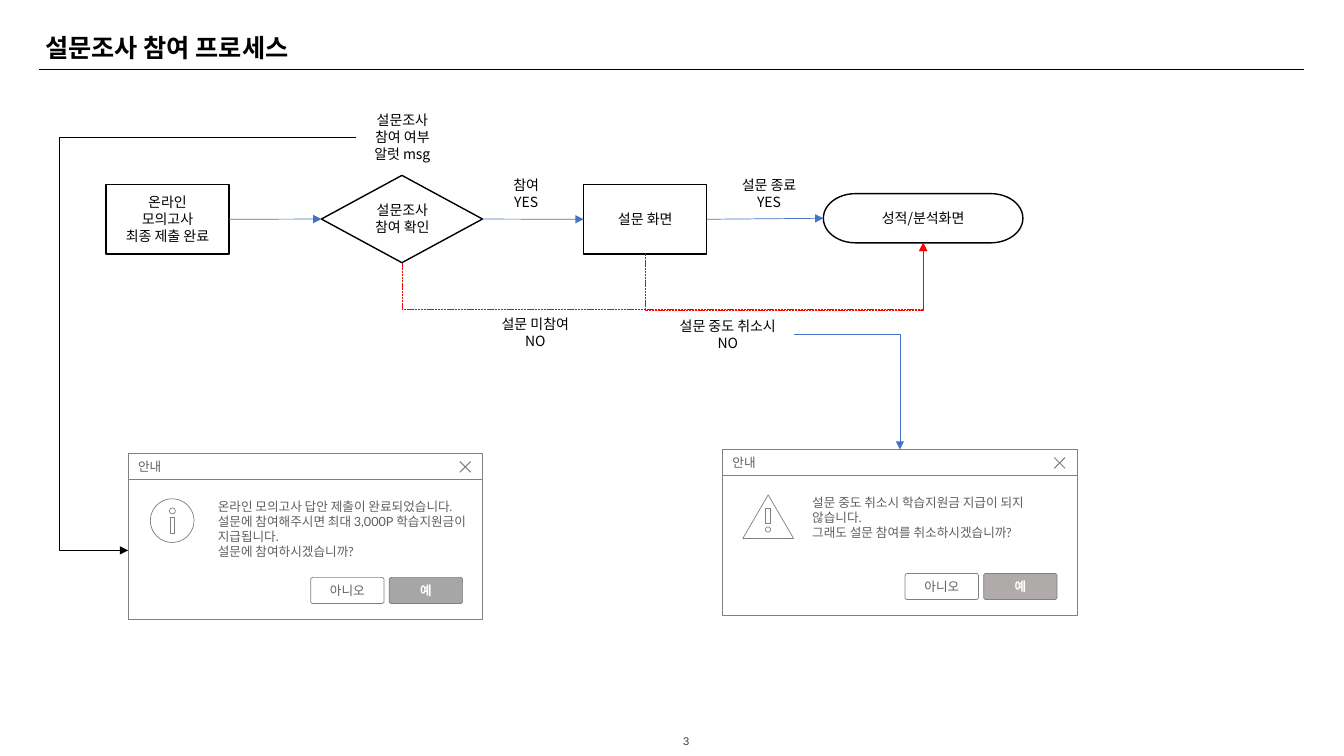
"""Build the survey participation process slide."""
from lxml.etree import SubElement
from pptx import Presentation
from pptx.dml.color import RGBColor
from pptx.enum.dml import MSO_LINE as DASH
from pptx.enum.shapes import MSO_CONNECTOR as LINK, MSO_SHAPE as SHAPE
from pptx.enum.text import MSO_ANCHOR as ANCHOR, PP_ALIGN as ALIGN
from pptx.oxml.ns import qn
from pptx.util import Cm, Pt

COLORS = {"black": "000000", "blue": "4472C4", "red": "FF0000", "white": "FFFFFF",
          "edge": "808080", "ink": "5F5F5F", "gray": "A6A6A6", "warm": "AFABAB",
          "page": "404040"}
KOREAN = "Noto Sans CJK KR"

TITLE = ("설문조사 참여 프로세스", (0.89, 0.76, 29.21, 1.12))
PAGE = ("3", (16.89, 18.36, 0.81, 0.61))
STEPS = {
    "submitted": (SHAPE.FLOWCHART_PROCESS, (2.67, 4.65, 3.1, 1.75),
                  "온라인\n모의고사\n최종 제출 완료"),
    "confirm": (SHAPE.FLOWCHART_DECISION, (8.1, 4.42, 4.06, 2.2), ""),
    "survey": (SHAPE.FLOWCHART_PROCESS, (14.71, 4.65, 3.1, 1.75), "설문 화면"),
    "result": (SHAPE.FLOWCHART_TERMINATOR, (20.75, 4.88, 5.03, 1.24), "성적/분석화면"),
}
LABELS = [
    ("설문조사\n참여 확인", (8.97, 4.95, 2.34, 1.12)),
    ("설문조사\n참여 여부 알럿 msg", (8.97, 2.69, 2.34, 1.55)),
    ("참여\nYES", (12.09, 4.32, 2.34, 1.12)),
    ("설문 종료 YES", (18.21, 4.32, 2.34, 1.12)),
    ("설문 중도 취소시\nNO", (16.69, 7.87, 3.3, 1.12)),
    ("설문 미참여\nNO", (11.84, 7.82, 3.3, 1.12)),
]
SKIPS = [("confirm", 7.8), ("survey", 7.82)]
DIALOGS = [
    {"at": (3.23, 11.43), "message_width": 6.81, "yes": "gray",
     "message": "온라인 모의고사 답안 제출이 완료되었습니다.\n"
                "설문에 참여해주시면 최대 3,000P 학습지원금이 지급됩니다.\n"
                "설문에 참여하시겠습니까?",
     "icon": [(SHAPE.OVAL, (0.56, 1.14, 1.1, 1.1)),
              (SHAPE.OVAL, (1.04, 1.37, 0.15, 0.15)),
              (SHAPE.RECTANGLE, (1.06, 1.6, 0.11, 0.41))]},
    {"at": (18.21, 11.33), "message_width": 6.38, "yes": "warm",
     "message": "설문 중도 취소시 학습지원금 지급이 되지 않습니다.\n"
                "그래도 설문 참여를 취소하시겠습니까?",
     "icon": [(SHAPE.ISOSCELES_TRIANGLE, (0.51, 1.14, 1.28, 1.1)),
              (SHAPE.RECTANGLE, (1.08, 1.47, 0.13, 0.38)),
              (SHAPE.OVAL, (1.08, 1.95, 0.13, 0.13))]},
]
DIALOG_WIDTH, HEADER_HEIGHT, BODY_HEIGHT = 8.94, 0.66, 3.53
FLOW_FONT = {"size": Pt(10), "name": KOREAN}
DIALOG_FONT = {"size": Pt(9), "name": "Lato"}
DEFAULT_INSETS = (0.25, 0.13, 0.25, 0.13)

deck = Presentation()
deck.slide_width, deck.slide_height = Cm(33.87), Cm(19.05)
slide = deck.slides.add_slide(deck.slide_layouts[6])


def rgb(color):
    return RGBColor.from_string(COLORS[color])


def write(box, text, font, color="black", align=ALIGN.CENTER, anchor=ANCHOR.MIDDLE,
          insets=DEFAULT_INSETS, wrap=True, spacing=None):
    frame = box.text_frame
    left, top, right, bottom = map(Cm, insets)
    layout = {"word_wrap": wrap, "vertical_anchor": anchor, "margin_left": left,
              "margin_top": top, "margin_right": right, "margin_bottom": bottom}
    for key, value in layout.items():
        setattr(frame, key, value)
    for index, line in enumerate(text.split("\n")):
        paragraph = frame.add_paragraph() if index else frame.paragraphs[0]
        paragraph.alignment, paragraph.line_spacing = align, spacing
        run = paragraph.add_run()
        run.text = line
        for key, value in font.items():
            setattr(run.font, key, value)
        run.font.color.rgb = rgb(color)
        SubElement(run.font._element, qn("a:ea"), typeface=KOREAN)


def add_label(text, place, font, **options):
    write(slide.shapes.add_textbox(*map(Cm, place)), text, font, **options)


def add_outline(kind, place, edge="edge", width=0.5, fill=None):
    outline = slide.shapes.add_shape(kind, *map(Cm, place))
    outline.shadow.inherit = False
    if fill:
        outline.fill.solid()
        outline.fill.fore_color.rgb = rgb(fill)
    else:
        outline.fill.background()
    outline.line.color.rgb, outline.line.width = rgb(edge), Pt(width)
    return outline


def add_link(start, end, color, kind=LINK.STRAIGHT, arrow=True, width=0.5):
    link = slide.shapes.add_connector(kind, *map(Cm, start + end))
    link.line.color.rgb, link.line.width = rgb(color), Pt(width)
    if arrow:
        SubElement(link.line._get_or_add_ln(), qn("a:tailEnd"), type="triangle")
    SubElement(link._element.spPr, qn("a:effectLst"))
    return link


def bend(link, fraction):
    geometry = link._element.spPr.find(qn("a:prstGeom"))
    SubElement(geometry.find(qn("a:avLst")), qn("a:gd"), name="adj1",
               fmla=f"val {round(fraction * 100000)}")


def add_skip(start, end, floor):
    (x1, y1), (x2, y2) = start, end
    mid_x, mid_y = (x1 + x2) / 2, (y1 + y2) / 2
    half_width, half_height = (y1 - y2) / 2, (x2 - x1) / 2
    link = add_link((mid_x + half_width, mid_y + half_height),
                    (mid_x - half_width, mid_y - half_height), "red", LINK.ELBOW)
    link._element.spPr.find(qn("a:xfrm")).set("rot", "5400000")
    link.line.dash_style = DASH.SQUARE_DOT
    bend(link, (floor - y1) / (y2 - y1))


def bottom_of(step):
    left, top, width, height = STEPS[step][1]
    return left + width / 2, top + height


def add_dialog(dialog):
    x, y = dialog["at"]

    def inside(left, top, width, height):
        return x + left, y + top, width, height

    add_outline(SHAPE.RECTANGLE, inside(0, HEADER_HEIGHT, DIALOG_WIDTH, BODY_HEIGHT), fill="white")
    add_label(dialog["message"], inside(2.06, 1.04, dialog["message_width"], 1.9), DIALOG_FONT,
              color="ink", align=ALIGN.LEFT, anchor=ANCHOR.TOP, insets=(0.2, 0.1, 0.2, 0.1))
    header = add_outline(SHAPE.RECTANGLE, inside(0, 0, DIALOG_WIDTH, HEADER_HEIGHT), fill="white")
    write(header, "안내", DIALOG_FONT, color="ink", align=ALIGN.LEFT,
          insets=(0.25, 0.13, 0.64, 0.13))
    left, top, right, bottom = x + 8.36, y + 0.2, x + 8.63, y + 0.47
    for start, end in [((left, top), (right, bottom)), ((right, top), (left, bottom))]:
        add_link(start, end, "edge", arrow=False, width=0.75)
    for kind, place in dialog["icon"]:
        add_outline(kind, inside(*place))
    for answer, offset, fill, color, bold in [("예", 6.58, dialog["yes"], "white", True),
                                              ("아니오", 4.6, "white", "ink", False)]:
        button = add_outline(SHAPE.ROUNDED_RECTANGLE, inside(offset, 3.12, 1.85, 0.66), fill=fill)
        button.adjustments[0] = 0.09
        write(button, answer, {**DIALOG_FONT, "bold": bold}, color=color)


def main():
    add_link((0.99, 1.75), (32.87, 1.75), "black", arrow=False)
    add_label(*TITLE, {"size": Pt(18), "name": KOREAN, "bold": True},
              align=ALIGN.LEFT, anchor=ANCHOR.TOP, spacing=0.9)
    steps = []
    for kind, place, text in STEPS.values():
        step = add_outline(kind, place, "black", 1)
        if text:
            write(step, text, FLOW_FONT)
        steps.append(step)
    for before, after in zip(steps, steps[1:]):
        link = add_link((0, 0), (1, 1), "blue")
        link.begin_connect(before, 3)
        link.end_connect(after, 1)
    for text, place in LABELS:
        add_label(text, place, FLOW_FONT, anchor=ANCHOR.TOP)
    for dialog in DIALOGS:
        add_dialog(dialog)
    for step, floor in SKIPS:
        add_skip(bottom_of(step), bottom_of("result"), floor)
    alert = add_link((8.97, 3.45), (3.23, 13.87), "black", LINK.ELBOW)
    bend(alert, 1.3)
    cancel = add_link((20.02, 8.43), (22.68, 11.33), "blue", LINK.ELBOW)
    cancel._element.spPr.find(qn("a:prstGeom")).set("prst", "bentConnector2")
    add_label(*PAGE, {"size": Pt(8), "name": "Arial"}, color="page", wrap=False)
    deck.save("out.pptx")


if __name__ == "__main__":
    main()
